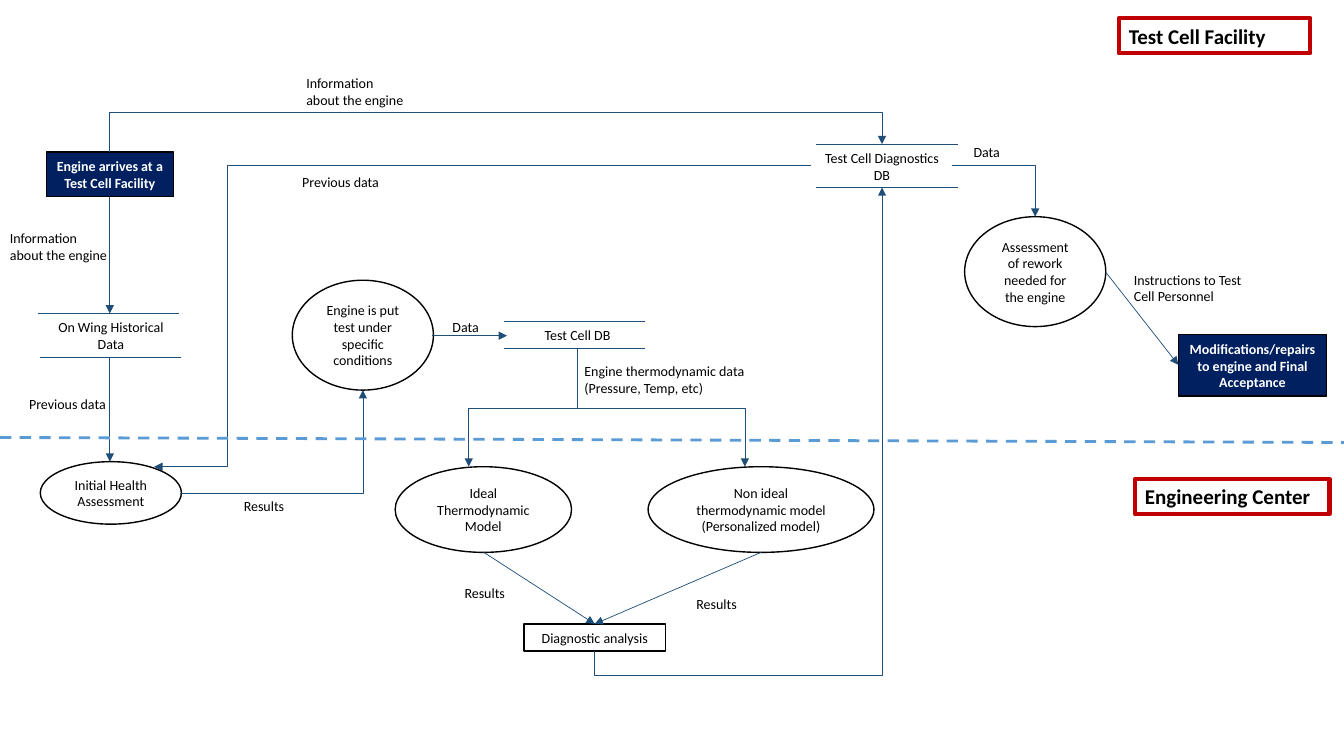
import dataclasses
import typing

import lxml.etree
import pptx
import pptx.dml.color
import pptx.enum.dml
import pptx.enum.shapes
import pptx.enum.text
import pptx.oxml.ns
import pptx.util

CELL = pptx.util.Inches(0.1)  # grid step, for columns and rows alike
COLS, ROWS = 133.33, 75
FONT = "Calibri"
NAVY, BLACK, WHITE = "002060", "000000", "FFFFFF"
STEEL, SKY, RED = "1F4E79", "5B9BD5", "C00000"
RECT = pptx.enum.shapes.MSO_SHAPE.RECTANGLE
OVAL = pptx.enum.shapes.MSO_SHAPE.OVAL
LEFT = pptx.enum.text.PP_ALIGN.LEFT
CENTER = pptx.enum.text.PP_ALIGN.CENTER
DASH = pptx.enum.dml.MSO_LINE.DASH
Point = tuple[float, float]


@dataclasses.dataclass
class Box:
    """A node of the flow, placed in columns and rows."""
    text: str
    col: float
    row: float
    wide: float
    high: float
    form: typing.Any = RECT
    fill: str = WHITE
    edge: str | None = BLACK
    thick: float = 1
    ink: str = BLACK
    size: float = 10
    bold: bool = False
    align: typing.Any = CENTER


@dataclasses.dataclass
class Note:
    """A caption beside a link."""
    text: str
    col: float
    row: float
    wide: float
    high: float = 2.7


@dataclasses.dataclass
class Link:
    """A line; turn is 'x' or 'y' with mid as the bend, or 'corner'."""
    start: Point
    end: Point
    turn: str = ""
    mid: float = 0
    arrow: bool = True
    color: str = STEEL
    thick: float = 0.5
    dash: bool = False


def paint(code: str) -> pptx.dml.color.RGBColor:
    """Turn a hex string into a colour."""
    return pptx.dml.color.RGBColor.from_string(code)


def grid(*cells: float) -> list[int]:
    """Turn columns and rows into lengths."""
    return [round(cell * CELL) for cell in cells]


def write(shape: typing.Any, text: str, ink: str = BLACK, size: float = 10,
          bold: bool = False, align: typing.Any = LEFT) -> None:
    """Fill a shape with wrapped text of one style."""
    frame = shape.text_frame
    frame.text = text
    frame.word_wrap = True
    frame.auto_size = pptx.enum.text.MSO_AUTO_SIZE.SHAPE_TO_FIT_TEXT
    for para in frame.paragraphs:
        para.alignment = align
        for run in para.runs:
            run.font.name, run.font.bold = FONT, bold
            run.font.size = pptx.util.Pt(size)
            run.font.color.rgb = paint(ink)


def draw_box(shapes: typing.Any, box: Box) -> None:
    """Draw one node."""
    shape = shapes.add_shape(box.form, *grid(box.col, box.row, box.wide, box.high))
    shape.shadow.inherit = False
    shape.fill.solid()
    shape.fill.fore_color.rgb = paint(box.fill)
    if box.edge:
        shape.line.color.rgb = paint(box.edge)
        shape.line.width = pptx.util.Pt(box.thick)
    else:
        shape.line.fill.background()
    write(shape, box.text, box.ink, box.size, box.bold, box.align)


def draw_note(shapes: typing.Any, note: Note) -> None:
    """Draw one caption."""
    write(shapes.add_textbox(*grid(note.col, note.row, note.wide, note.high)), note.text)


def draw_link(shapes: typing.Any, link: Link) -> None:
    """Draw one line, straight or bent."""
    (x1, y1), (x2, y2) = link.start, link.end
    ends = x1, y1, x2, y2
    if link.turn == "y":  # frame lies on its side, so swap its half lengths
        cx, cy, dx, dy = (x1 + x2) / 2, (y1 + y2) / 2, (x2 - x1) / 2, (y2 - y1) / 2
        ends = cx - dy, cy + dx, cx + dy, cy - dx
    kinds = pptx.enum.shapes.MSO_CONNECTOR
    line = shapes.add_connector(kinds.ELBOW if link.turn else kinds.STRAIGHT, *grid(*ends))
    line.line.color.rgb = paint(link.color)
    line.line.width = pptx.util.Pt(link.thick)
    if link.dash:
        line.line.dash_style = DASH
    name = pptx.oxml.ns.qn
    props = line._element.spPr
    geom = props.find(name("a:prstGeom"))
    if link.turn == "corner":
        geom.set("prst", "bentConnector2")
    elif link.turn:
        share = (link.mid - x1) / (x2 - x1) if link.turn == "x" else (link.mid - y1) / (y2 - y1)
        guide = lxml.etree.SubElement(geom.find(name("a:avLst")), name("a:gd"))
        guide.set("name", "adj1")
        guide.set("fmla", f"val {round(share * 100000)}")
    if link.turn == "y":
        props.find(name("a:xfrm")).set("rot", "5400000")
    if link.arrow:
        tip = lxml.etree.SubElement(props.find(name("a:ln")), name("a:tailEnd"))
        tip.set("type", "triangle")
    lxml.etree.SubElement(props, name("a:effectLst"))


DARK = dict(fill=NAVY, ink=WHITE, bold=True)
SIGN = dict(edge=RED, thick=3, size=15, bold=True, align=LEFT)
BOXES = [
    Box("Engine arrives at a Test Cell Facility", 4.6, 15.1, 12.6, 4.4, **DARK),
    Box("On Wing Historical Data", 4, 31.1, 14, 4.4, edge=None),
    Box("Initial Health Assessment", 4, 45.8, 14, 6.2, OVAL),
    Box("Engine is put test under specific conditions", 29, 27.8, 14, 10.9, OVAL),
    Box("Test Cell DB", 50.3, 31.9, 14, 2.7, edge=None),
    Box("Ideal Thermodynamic Model", 39.2, 46.3, 17.5, 8.5, OVAL),
    Box("Non ideal thermodynamic model (Personalized model)", 64.3, 46.3, 22.4, 8.5, OVAL),
    Box("Diagnostic analysis", 52, 61.9, 14, 2.7),
    Box("Test Cell Diagnostics DB", 80.5, 14.3, 14, 4.4, edge=None),
    Box("Assessment of rework needed for the engine", 95.7, 21.5, 14, 10.9, OVAL),
    Box("Modifications/repairs to engine and Final Acceptance", 116.9, 33.2, 14.7, 6.1, **DARK),
    Box("Engineering Center", 112.6, 47.5, 19.3, 3.5, **SIGN),
    Box("Test Cell Facility", 111, 1.8, 19, 3.5, **SIGN),
]
NOTES = [
    Note("Information about the engine", 0, 22.3, 12.1, 4.4),
    Note("Information about the engine", 29.4, 6.9, 12.1, 4.4),
    Note("Previous data", 1.9, 38.7, 10.9),
    Note("Previous data", 29, 16.7, 10.9),
    Note("Results", 23.2, 48.9, 7.1),
    Note("Data", 43.9, 31.1, 5.5),
    Note("Engine thermodynamic data (Pressure, Temp, etc)", 57, 35.5, 20.3, 4.4),
    Note("Results", 45.1, 57.5, 7.1),
    Note("Results", 68.1, 58.6, 7.1),
    Note("Data", 95.6, 13.7, 7.1),
    Note("Instructions to Test Cell Personnel", 111.5, 26.4, 12.9, 4.4),
]
LINKS = [
    Link((10.9, 19.5), (10.9, 31.1)),
    Link((80.5, 16.4), (15.3, 46.3), "x", 22.6),
    Link((10.9, 15.1), (87.5, 14.3), "y", 11.1),
    Link((10.9, 35.5), (10.9, 45.8)),
    Link((17.9, 48.9), (36, 38.7), "corner"),
    Link((42.9, 33.3), (50.3, 33.3)),
    Link((57.3, 34.6), (46.5, 46.3), "y", 40.5),
    Link((57.3, 34.6), (73.9, 46.3), "y", 40.5),
    Link((48, 54.8), (59, 61.9)),
    Link((75.5, 54.8), (59, 61.9)),
    Link((59, 64.6), (87.5, 18.6), "y", 67),
    Link((94.4, 16.4), (102.7, 21.5), "corner"),
    Link((109.7, 27), (116.9, 36.2)),
    Link((0, 43.4), (COLS, 43.9), arrow=False, color=SKY, thick=2, dash=True),
]
RAILS = [(4, 35.5), (3.8, 31.1), (50, 34.6), (50, 31.9), (81, 18.6), (81, 14.3)]
LINKS += [Link((col, row), (col + 14, row), arrow=False) for col, row in RAILS]


def main() -> None:
    """Build the slide and save it."""
    deck = pptx.Presentation()
    deck.slide_width, deck.slide_height = grid(COLS, ROWS)
    shapes = deck.slides.add_slide(deck.slide_layouts[6]).shapes
    for draw, items in ((draw_box, BOXES), (draw_note, NOTES), (draw_link, LINKS)):
        for item in items:
            draw(shapes, item)
    deck.save("out.pptx")


main()
